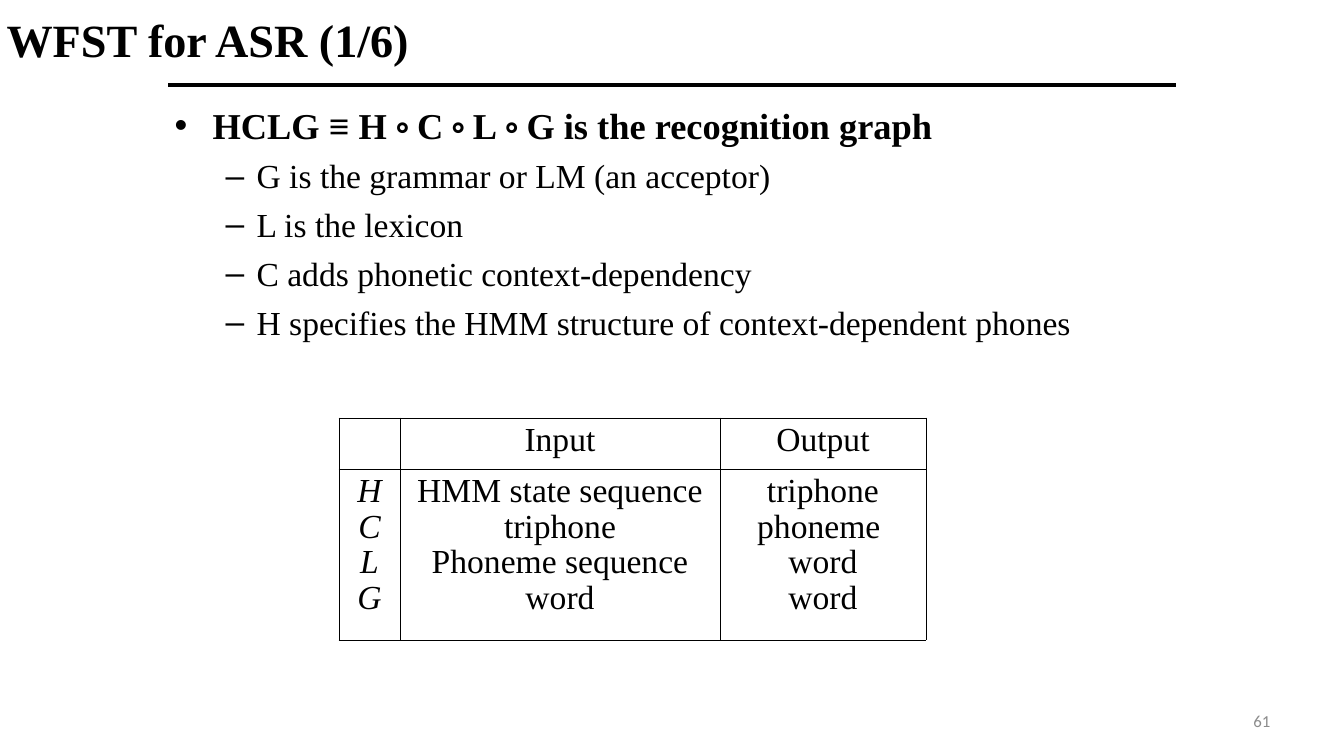
from lxml import etree
from pptx import Presentation
from pptx.dml.color import RGBColor
from pptx.enum import shapes, text
from pptx.oxml.ns import qn
from pptx.util import Emu, Pt

PX = 914400 / 67.2
COLORS = {"ink": "000000", "number": "8C8C8C"}
SERIF, SANS = "Times New Roman", "Calibri"

HEADING = ["HCLG ≡ H ", "◦ ", "C", " ◦ ", "L", " ◦ ", "G is the recognition graph"]
POINTS = [
    "G is the grammar or LM (an acceptor)",
    "L is the lexicon",
    "C adds phonetic context-dependency",
    "H specifies the HMM structure of context-dependent phones",
]
COLUMNS = [61, 320, 206]
ROWS = [51, 171]
CELLS = [
    [[], ["Input"], ["Output"]],
    [
        ["H", "C", "L", "G"],
        ["HMM state sequence", "triphone", "Phoneme sequence", "word"],
        ["triphone", "phoneme ", "word", "word"],
    ],
]


def px(length):
    return Emu(round(length * PX))


def color(name):
    return RGBColor.from_string(COLORS[name])


def style(para, size, name=SERIF, ink="ink", bold=False, italic=False):
    font = para.font
    font.size, font.bold, font.italic = Pt(size), bold, italic
    font.color.rgb = color(ink)
    if name:
        font.name = name


def add_box(page, left, top, width, height, anchor=text.MSO_ANCHOR.TOP):
    box = page.shapes.add_textbox(px(left), px(top), px(width), px(height))
    frame = box.text_frame
    frame.word_wrap = True
    frame.vertical_anchor = anchor
    return frame


def add_line_of_text(page, area, words, align=text.PP_ALIGN.LEFT, **look):
    para = add_box(page, *area, anchor=text.MSO_ANCHOR.MIDDLE).paragraphs[0]
    para.text = words
    para.alignment = align
    style(para, **look)


def set_bullet(para, mark, margin, hanging):
    properties = para._p.get_or_add_pPr()
    properties.set("marL", str(px(margin)))
    properties.set("indent", str(-px(hanging)))
    etree.SubElement(properties, qn("a:buFont"), typeface="Arial")
    etree.SubElement(properties, qn("a:buChar"), char=mark)


def add_bullets(page):
    frame = add_box(page, 168, 100, 1008, 247)
    para = frame.paragraphs[0]
    set_bullet(para, "•", 38, 38)
    style(para, 39, name=None, bold=True)
    for words in HEADING:
        span = para.add_run()
        span.text = words
        span.font.name = SANS if "◦" in words else SERIF

    for words in POINTS:
        para = frame.add_paragraph()
        para.text = words
        para.level = 1
        para.space_before = Pt(9)
        set_bullet(para, "–", 82, 31)
        style(para, 36)


def add_rule(page, left, right, y):
    rule = page.shapes.add_connector(
        shapes.MSO_CONNECTOR.STRAIGHT, px(left), px(y), px(right), px(y))
    rule.line.color.rgb = color("ink")
    rule.line.width = Pt(4.5)
    etree.SubElement(rule._element.spPr, qn("a:effectLst"))


def set_borders(cell):
    properties = cell._tc.get_or_add_tcPr()
    for side in ("lnL", "lnR", "lnT", "lnB"):
        border = etree.SubElement(properties, qn(f"a:{side}"), w=str(Pt(1)))
        fill = etree.SubElement(border, qn("a:solidFill"))
        etree.SubElement(fill, qn("a:srgbClr"), val=COLORS["ink"])


def fill_cell(cell, lines, italic):
    cell.margin_left = cell.margin_right = px(10)
    cell.margin_top = cell.margin_bottom = px(5)
    set_borders(cell)
    cell.fill.background()
    for index, words in enumerate(lines):
        frame = cell.text_frame
        para = frame.add_paragraph() if index else frame.paragraphs[0]
        para.text = words
        para.alignment = text.PP_ALIGN.CENTER
        para.line_spacing = 0.96
        style(para, 36, italic=italic)


def add_symbol_table(page, left, top):
    table = page.shapes.add_table(
        len(ROWS), len(COLUMNS), px(left), px(top),
        px(sum(COLUMNS)), px(sum(ROWS))).table
    table.first_row = table.horz_banding = False
    for column, width in zip(table.columns, COLUMNS):
        column.width = px(width)
    for row, height in zip(table.rows, ROWS):
        row.height = px(height)
    for row, contents in enumerate(CELLS):
        for column, lines in enumerate(contents):
            fill_cell(table.cell(row, column), lines, italic=column == 0)


def main():
    deck = Presentation()
    deck.slide_width, deck.slide_height = px(1344), px(756)
    page = deck.slides.add_slide(deck.slide_layouts[6])

    # Title and rule
    add_line_of_text(page, (0, 0, 1344, 79), "WFST for ASR (1/6)", size=49.5, bold=True)
    add_rule(page, 168, 1176, 85)

    # Recognition graph and its parts
    add_bullets(page)
    add_symbol_table(page, 339, 418)

    # Page number
    add_line_of_text(page, (963, 701, 314, 40), "61", text.PP_ALIGN.RIGHT,
                     size=18, name=SANS, ink="number")
    deck.save("out.pptx")


if __name__ == "__main__":
    main()
